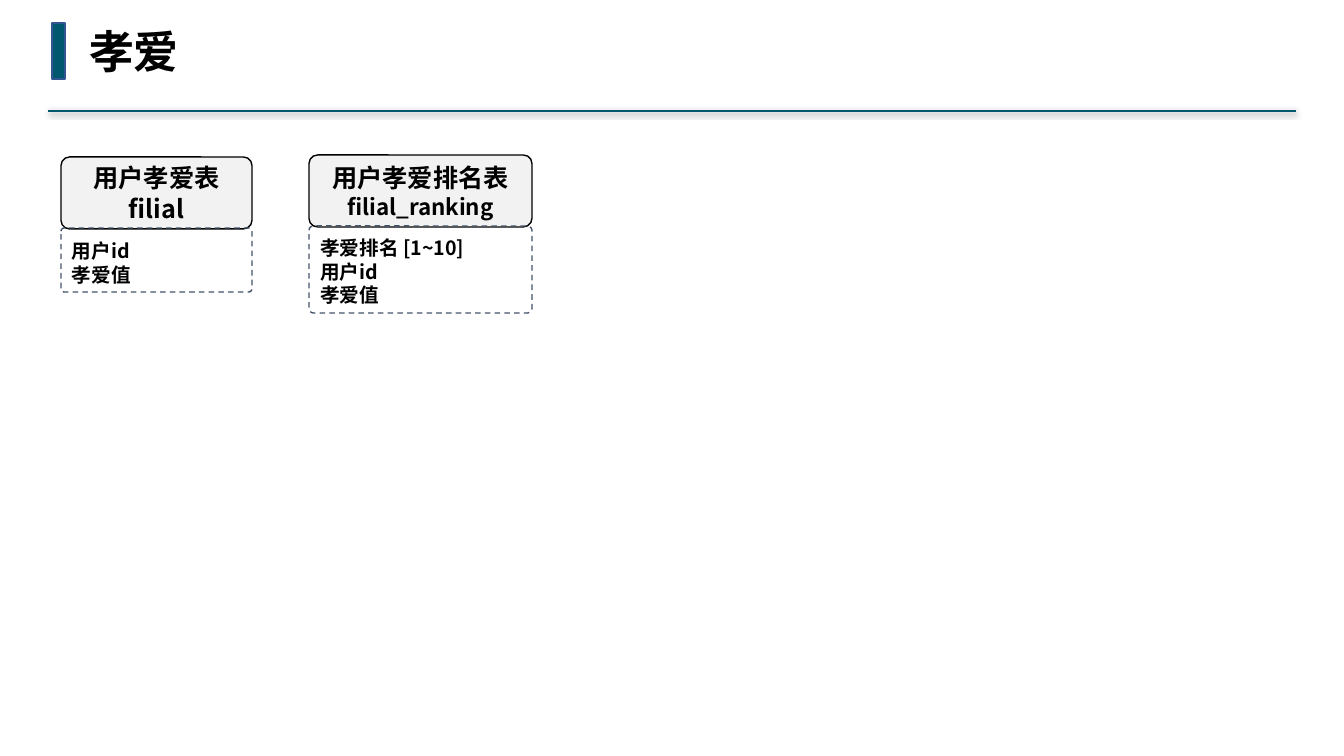
from dataclasses import dataclass

from lxml.etree import SubElement
from pptx import Presentation
from pptx.dml.color import RGBColor as RGB
from pptx.enum.dml import MSO_LINE as DASH
from pptx.enum.shapes import MSO_CONNECTOR as CONN, MSO_SHAPE as SHAPE
from pptx.enum.text import MSO_ANCHOR as ANCHOR, MSO_AUTO_SIZE as FIT, PP_ALIGN as ALIGN
from pptx.oxml import parse_xml
from pptx.oxml.ns import nsdecls, qn
from pptx.util import Emu, Pt

SCALE = 914400 / 100.8


@dataclass(frozen=True)
class Theme:
    """Colours, fonts and type sizes of the slide."""
    accent: str = "00576E"
    accent_edge: str = "325491"
    ink: str = "000000"
    head_fill: str = "F2F2F2"
    body_edge: str = "44546A"
    title_font: str = "DejaVu Sans Mono"
    font: str = "Noto Sans CJK SC"
    title_size: int = 32
    head_size: int = 18
    long_name_size: int = 16
    body_size: int = 14


T = Theme()


def px(n):
    """Turn pixels into EMU."""
    return Emu(round(n * SCALE))


def write(tf, lines, font, align):
    """Fill a text frame with (text, size) lines in bold."""
    for i, (text, size) in enumerate(lines):
        p = tf.add_paragraph() if i else tf.paragraphs[0]
        p.text, p.alignment = text, align
        p.font.name, p.font.size, p.font.bold = font, Pt(size), True
        p.font.color.rgb = RGB.from_string(T.ink)
        latin = p._p.pPr.find(qn("a:defRPr")).find(qn("a:latin"))
        latin.addnext(parse_xml(f'<a:ea {nsdecls("a")} typeface="{T.font}"/>'))


def add_box(s, kind, box, fill, edge, radius=None):
    """Add a preset shape with a one-point outline."""
    sp = s.shapes.add_shape(kind, *map(px, box))
    sp.shadow.inherit = False
    if fill:
        sp.fill.solid()
        sp.fill.fore_color.rgb = RGB.from_string(fill)
    else:
        sp.fill.background()
    sp.line.color.rgb = RGB.from_string(edge)
    sp.line.width = Pt(1)
    if radius is not None:
        sp.adjustments[0] = radius
    return sp


def add_title(s, text):
    """Place the slide title beside its accent bar."""
    add_box(s, SHAPE.RECTANGLE, (52, 23, 13, 56), T.accent, T.accent_edge)
    sp = s.shapes.title
    sp.left, sp.top, sp.width, sp.height = map(px, (79, 19, 111, 65))
    tf = sp.text_frame
    tf.word_wrap, tf.auto_size = False, FIT.SHAPE_TO_FIT_TEXT
    tf.vertical_anchor = ANCHOR.TOP
    write(tf, [(text, T.title_size)], T.title_font, ALIGN.LEFT)


def add_rule(s, left, right, y):
    """Draw the header rule with its soft shadow."""
    ln = s.shapes.add_connector(CONN.STRAIGHT, px(left), px(y), px(right), px(y))
    ln.line.color.rgb = RGB.from_string(T.accent)
    ln.line.width = Pt(1.5)
    effects = SubElement(ln._element.spPr, qn("a:effectLst"))
    shadow = SubElement(effects, qn("a:outerShdw"), blurRad=str(Pt(4)),
                        dist=str(Pt(1)), dir="5400000", rotWithShape="0")
    color = SubElement(shadow, qn("a:srgbClr"), val=T.ink)
    SubElement(color, qn("a:alpha"), val="40000")


def add_entity(s, x, y, w, body_h, heading, fields):
    """Draw a data entity: a filled heading over a dashed field list."""
    head = add_box(s, SHAPE.ROUNDED_RECTANGLE, (x, y, w, 72), T.head_fill, T.ink, 0.12)
    tf = head.text_frame
    tf.word_wrap, tf.vertical_anchor = False, ANCHOR.MIDDLE
    tf.margin_left = tf.margin_right = tf.margin_top = tf.margin_bottom = px(4)
    write(tf, heading, T.font, ALIGN.CENTER)

    body = add_box(s, SHAPE.ROUNDED_RECTANGLE, (x, y + 71, w, body_h), None, T.body_edge, 0.05)
    body.line.dash_style = DASH.DASH
    tf = body.text_frame
    tf.word_wrap, tf.vertical_anchor = True, ANCHOR.BOTTOM
    write(tf, [(field, T.body_size) for field in fields], T.font, ALIGN.LEFT)


def main():
    """Build the slide and save it."""
    prs = Presentation()
    prs.slide_width, prs.slide_height = px(1344), px(756)
    s = prs.slides.add_slide(prs.slide_layouts.get_by_name("Title Only"))
    add_rule(s, 48, 1296, 111)
    add_title(s, "孝爱")
    add_entity(s, 61, 157, 191, 64,
               [("用户孝爱表", T.head_size), ("filial", T.head_size)],
               ["用户id", "孝爱值"])
    add_entity(s, 309, 155, 223, 87,
               [("用户孝爱排名表", T.head_size), ("filial_ranking", T.long_name_size)],
               ["孝爱排名 [1~10]", "用户id", "孝爱值"])
    prs.save("out.pptx")


main()
